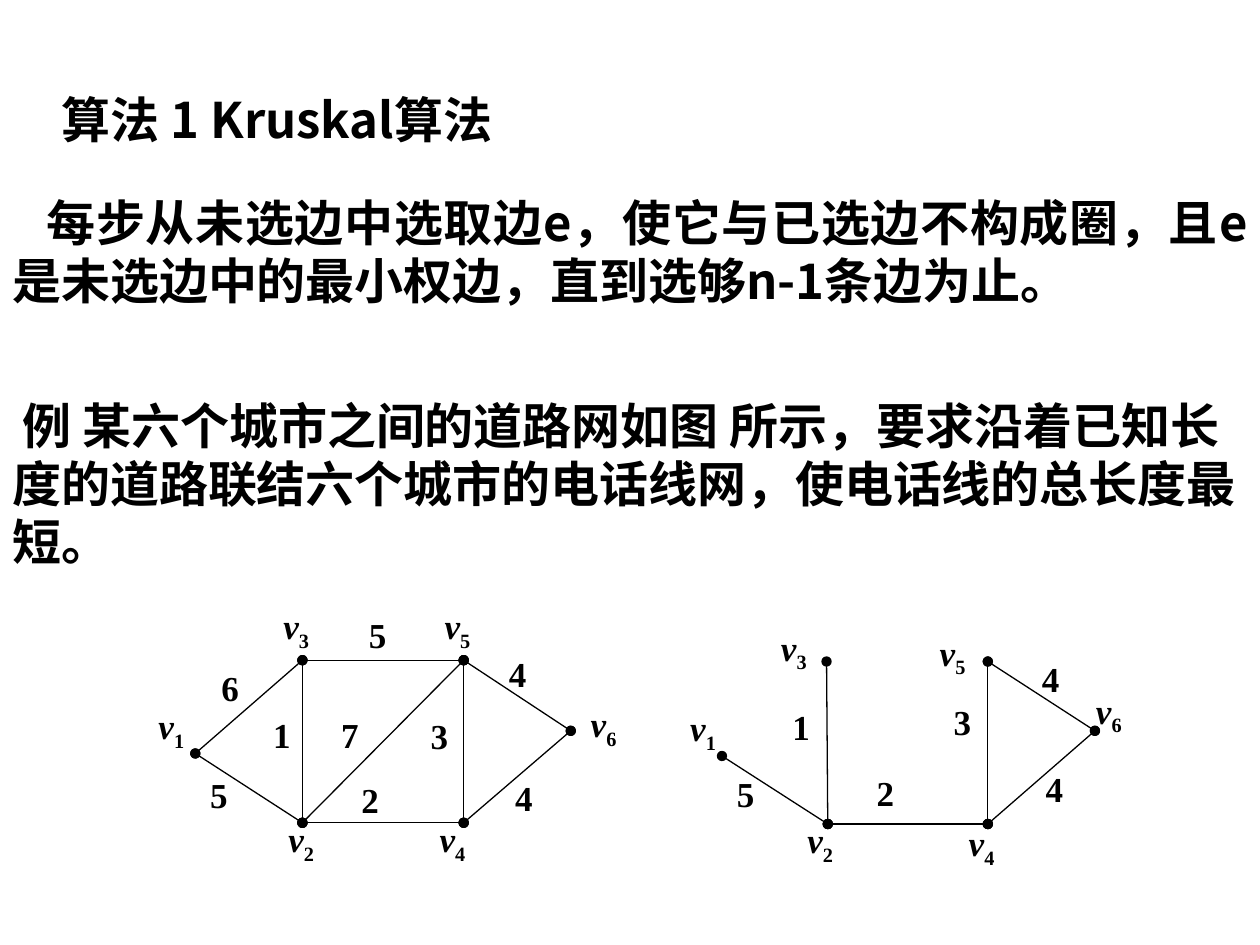
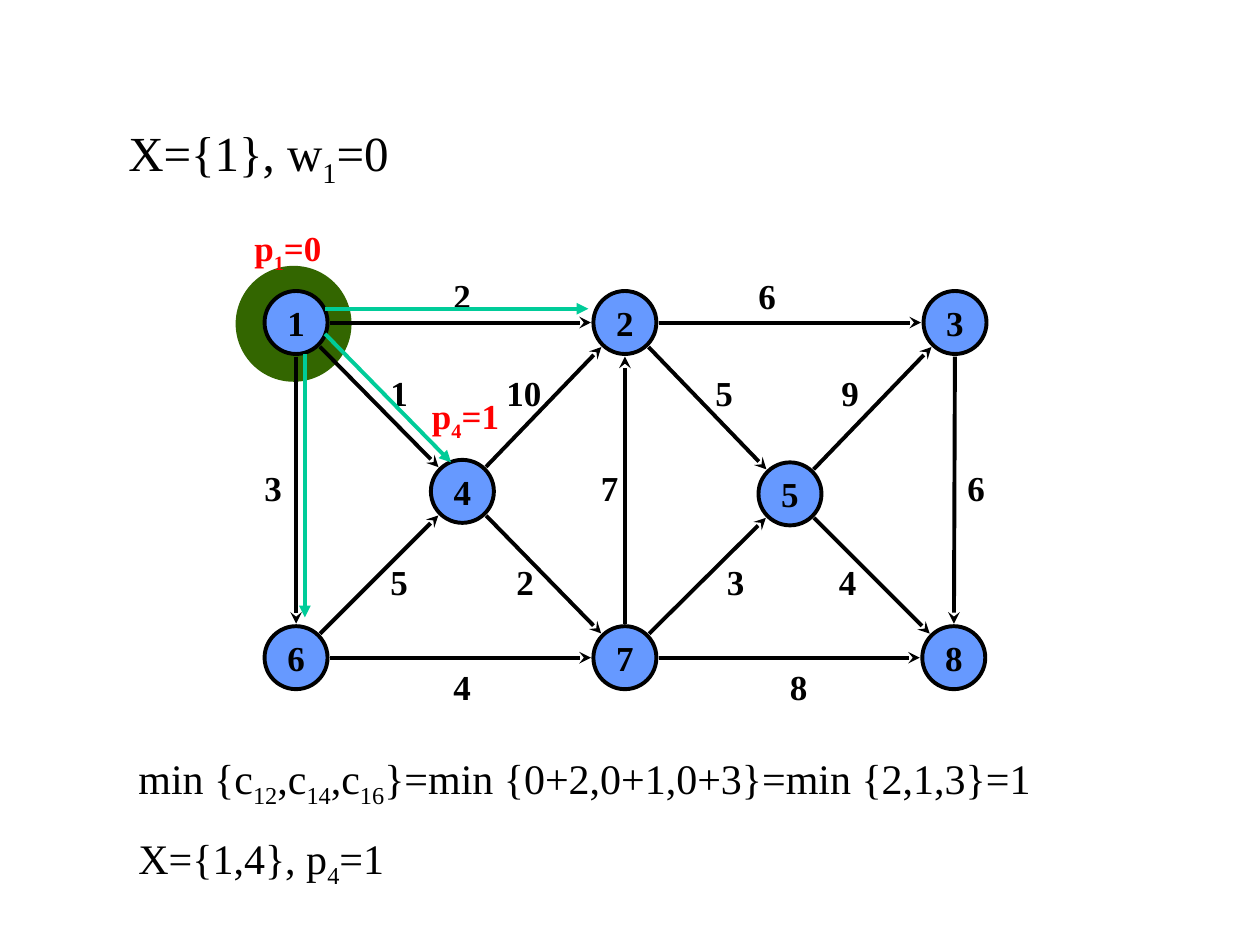
import math
from dataclasses import dataclass, replace
from typing import NamedTuple

import lxml.etree
import pptx
import pptx.dml.color
import pptx.enum.shapes
import pptx.enum.text
import pptx.oxml.ns
import pptx.util

EMU_PER_PX = 9144  # 100 px to the inch
COLORS = {
    "ink": "000000",
    "node": "6699FF",
    "halo": "336600",
    "route": "00CC99",
    "potential": "FF0000",
}
SERIF = "Times New Roman"
SANS = "Noto Sans CJK SC"
ALIGN = pptx.enum.text.PP_ALIGN


@dataclass(frozen=True)
class TextStyle:
    size: int = 20
    font: str = SERIF
    color: str = "ink"
    bold: bool = True
    italic_base: bool = False
    align: ALIGN = ALIGN.LEFT
    indent: int = 0
    line_points: int = 0
    gap_points: int = 0
    top_inset: int = 5


@dataclass(frozen=True)
class LineStyle:
    color: str = "ink"
    width: float = 2.25
    head: str = ""
    tail: str = ""


class Label(NamedTuple):
    text: str
    left: int
    top: int
    width: int = 64
    height: int = 55


class Vertex(NamedTuple):
    number: str
    x: int
    y: int
    label_left: int
    label_top: int


class Graph(NamedTuple):
    vertices: list[Vertex]
    edges: list[str]
    weights: list[Label]


class Node(NamedTuple):
    x: int
    y: int


HEADING = TextStyle(28, SANS, line_points=33, top_inset=10)
WEIGHT = TextStyle(align=ALIGN.JUSTIFY)
VERTEX_NAME = replace(WEIGHT, italic_base=True)
ARC_COST = TextStyle()
POTENTIAL = TextStyle(color="potential")
FORMULA = TextStyle(28, bold=False)
EDGE = LineStyle(width=0.75, head="oval", tail="oval")
ARC = LineStyle(tail="stealth")
ROUTE = LineStyle(color="route", tail="triangle")

ROAD_NETWORK = Graph(
    [
        Vertex("1", 155, 598, 116, 554),
        Vertex("2", 240, 653, 219, 644),
        Vertex("3", 240, 524, 215, 475),
        Vertex("4", 368, 653, 339, 644),
        Vertex("5", 368, 524, 343, 475),
        Vertex("6", 453, 580, 459, 553),
    ],
    ["24", "35", "32", "45", "56", "64", "21", "13", "25"],
    [
        Label("6", 166, 524), Label("5", 157, 609), Label("1", 207, 561, 43),
        Label("5", 283, 482), Label("7", 261, 561), Label("2", 277, 613),
        Label("3", 332, 562), Label("4", 394, 513), Label("4", 399, 611),
    ],
)
CHOSEN_ROADS = Graph(
    [
        Vertex("1", 573, 600, 538, 556),
        Vertex("2", 657, 654, 631, 645),
        Vertex("3", 656, 525, 610, 492),
        Vertex("4", 784, 654, 759, 647),
        Vertex("5", 784, 525, 736, 496),
        Vertex("6", 869, 580, 860, 542),
    ],
    ["21", "24", "32", "45", "64", "56"],
    [
        Label("5", 575, 608), Label("1", 619, 555, 43), Label("2", 686, 607),
        Label("3", 747, 551), Label("4", 820, 604), Label("4", 817, 517),
    ],
)

NODE_SIZE = 50
ARC_CLEARANCE = 27
NODES = {
    "1": Node(235, 256), "2": Node(496, 256), "3": Node(758, 256),
    "4": Node(367, 390), "5": Node(627, 392),
    "6": Node(235, 522), "7": Node(496, 522), "8": Node(757, 522),
}
ARCS = ["12", "23", "16", "67", "78", "38", "14", "47", "64", "42", "72", "25", "53", "58", "75"]
COST_ROWS = {
    213: [("2", 350), ("6", 592)],
    290: [("1", 300), ("10", 392), ("5", 558), ("9", 658)],
    365: [("3", 200), ("7", 467), ("6", 758)],
    440: [("5", 300), ("2", 400), ("3", 567), ("4", 656)],
    523: [("4", 350), ("8", 617)],
}
ROUTES = [(258, 245, 467, 245), (258, 265, 358, 367), (242, 281, 242, 490)]


def px(length: float) -> int:
    return round(length * EMU_PER_PX)


def rgb(name: str) -> pptx.dml.color.RGBColor:
    return pptx.dml.color.RGBColor.from_string(COLORS[name])


def write_paragraph(para, marked_text: str, style: TextStyle) -> None:
    """Write text in which |bars| enclose subscripts."""
    para.alignment = style.align
    if style.line_points:
        para.line_spacing = pptx.util.Pt(style.line_points)
    font = para.font
    font.name, font.size, font.bold = style.font, pptx.util.Pt(style.size), style.bold
    font.color.rgb = rgb(style.color)
    properties = para._p.get_or_add_pPr()
    if style.indent:
        properties.set("indent", str(px(style.indent)))
    defaults = properties.find(pptx.oxml.ns.qn("a:defRPr"))
    lxml.etree.SubElement(defaults, pptx.oxml.ns.qn("a:ea"), typeface=style.font)
    for index, piece in enumerate(marked_text.split("|")):
        if not piece:
            continue
        span = para.add_run()
        span.text = piece
        if index % 2:
            span._r.get_or_add_rPr().set("baseline", "-25000")
        elif style.italic_base:
            span.font.italic = True


def add_text(page, label: Label, style: TextStyle) -> None:
    box = page.shapes.add_textbox(*map(px, label[1:]))
    frame = box.text_frame
    frame.word_wrap = True
    frame.margin_top = px(style.top_inset)
    for index, line in enumerate(label.text.split("\n")):
        para = frame.add_paragraph() if index else frame.paragraphs[0]
        if index:
            para.space_before = pptx.util.Pt(style.gap_points)
        write_paragraph(para, line, style)


def add_line(page, ends: tuple[float, float, float, float], style: LineStyle) -> None:
    line = page.shapes.add_connector(pptx.enum.shapes.MSO_CONNECTOR.STRAIGHT, *map(px, ends))
    line.line.color.rgb = rgb(style.color)
    line.line.width = pptx.util.Pt(style.width)
    outline = line.line._get_or_add_ln()
    for tag, kind in (("a:headEnd", style.head), ("a:tailEnd", style.tail)):
        if kind:
            lxml.etree.SubElement(outline, pptx.oxml.ns.qn(tag), type=kind)
    lxml.etree.SubElement(line._element.spPr, pptx.oxml.ns.qn("a:effectLst"))


def add_disc(page, center: Node, size: int, color: str):
    disc = page.shapes.add_shape(
        pptx.enum.shapes.MSO_SHAPE.OVAL,
        px(center.x - size / 2), px(center.y - size / 2), px(size), px(size),
    )
    disc.shadow.inherit = False
    disc.fill.solid()
    disc.fill.fore_color.rgb = rgb(color)
    disc.line.fill.background()
    return disc


def add_node(page, name: str, center: Node) -> None:
    disc = add_disc(page, center, NODE_SIZE, "node")
    disc.line.color.rgb = rgb("ink")
    disc.line.width = pptx.util.Pt(2.25)
    frame = disc.text_frame
    frame.word_wrap = False
    frame.vertical_anchor = pptx.enum.text.MSO_ANCHOR.MIDDLE
    write_paragraph(frame.paragraphs[0], name, TextStyle(align=ALIGN.CENTER))


def add_arc(page, start: Node, end: Node) -> None:
    """Join two nodes, stopping just outside their rims."""
    share = ARC_CLEARANCE / math.dist(start, end)
    dx, dy = (end.x - start.x) * share, (end.y - start.y) * share
    add_line(page, (start.x + dx, start.y + dy, end.x - dx, end.y - dy), ARC)


def add_graph(page, graph: Graph) -> None:
    points = {vertex.number: (vertex.x, vertex.y) for vertex in graph.vertices}
    for start, end in graph.edges:
        add_line(page, points[start] + points[end], EDGE)
    for vertex in graph.vertices:
        name = Label(f"v|{vertex.number}|", vertex.label_left, vertex.label_top)
        add_text(page, name, VERTEX_NAME)
    for weight in graph.weights:
        add_text(page, weight, WEIGHT)


def build_kruskal_page(page) -> None:
    add_text(page, Label("算法 1 Kruskal算法", 39, 62, 419, 169), HEADING)
    rule = "每步从未选边中选取边e，使它与已选边不构成圈，且e是未选边中的最小权边，直到选够n-1条边为止。"
    add_text(page, Label(rule, 0, 144, 1000, 137),
             replace(HEADING, align=ALIGN.JUSTIFY, indent=27))
    example = ("例 某六个城市之间的道路网如图 所示，要求沿着已知长度的道路联结六个城市的电话线网，"
               "使电话线的总长度最短。")
    add_text(page, Label(example, 0, 305, 1000, 150), replace(HEADING, indent=8))
    for graph in (ROAD_NETWORK, CHOSEN_ROADS):
        add_graph(page, graph)


def build_shortest_path_page(page) -> None:
    add_disc(page, Node(233, 257), 92, "halo")
    for name, center in NODES.items():
        add_node(page, name, center)
    for start, end in ARCS:
        add_arc(page, NODES[start], NODES[end])
    for top, costs in COST_ROWS.items():
        for cost, left in costs:
            add_text(page, Label(cost, left, top, 34 + 8 * len(cost), 43), ARC_COST)
    add_text(page, Label("X={1}, w|1|=0", 92, 92, 800, 57), FORMULA)
    steps = "min {c|12|,c|14|,c|16|}=min {0+2,0+1,0+3}=min {2,1,3}=1\nX={1,4}, p|4|=1"
    add_text(page, Label(steps, 100, 592, 775, 110), replace(FORMULA, size=24, gap_points=13))
    for route in ROUTES:
        add_line(page, route, ROUTE)
    add_text(page, Label("p|4|=1", 333, 308, 92, 43), POTENTIAL)
    add_text(page, Label("p|1|=0", 192, 175, 92, 43), POTENTIAL)


def main() -> None:
    deck = pptx.Presentation()
    deck.slide_width, deck.slide_height = px(1000), px(750)
    for build_page in (build_kruskal_page, build_shortest_path_page):
        build_page(deck.slides.add_slide(deck.slide_layouts[6]))
    deck.save("out.pptx")


if __name__ == "__main__":
    main()
